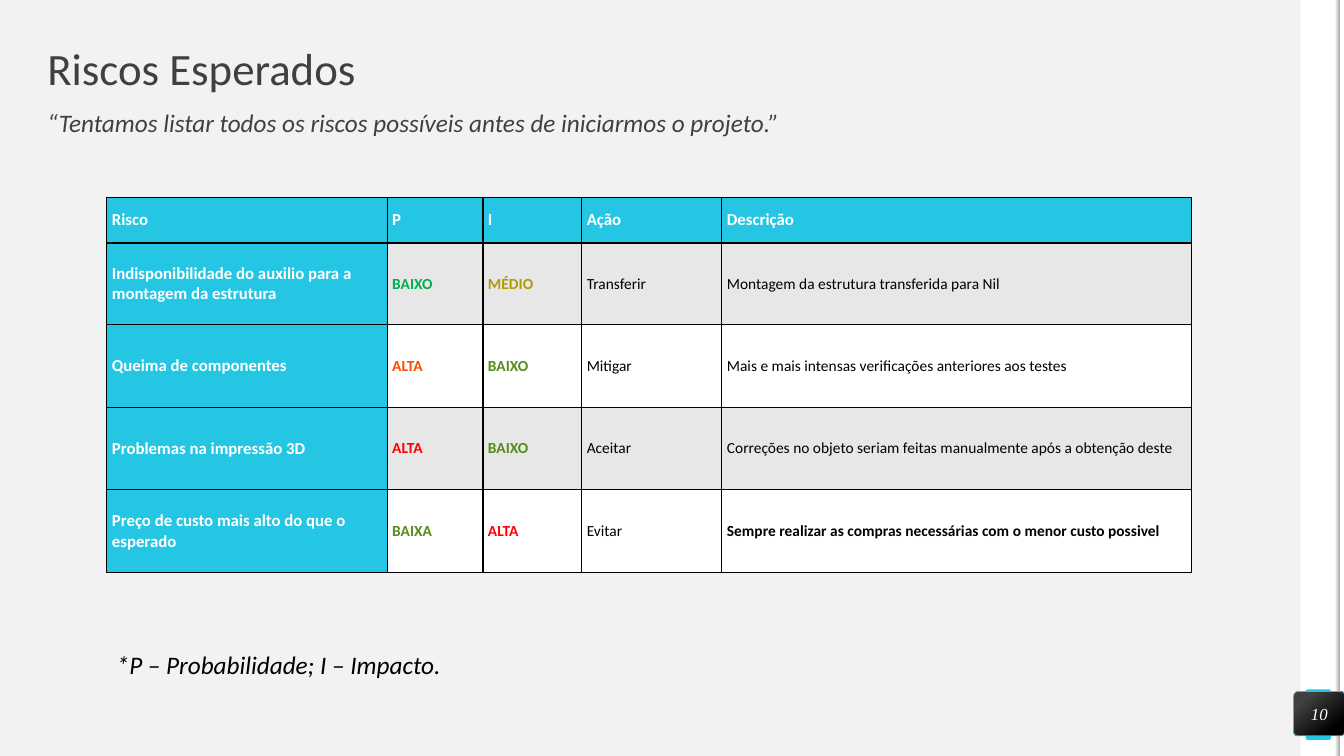
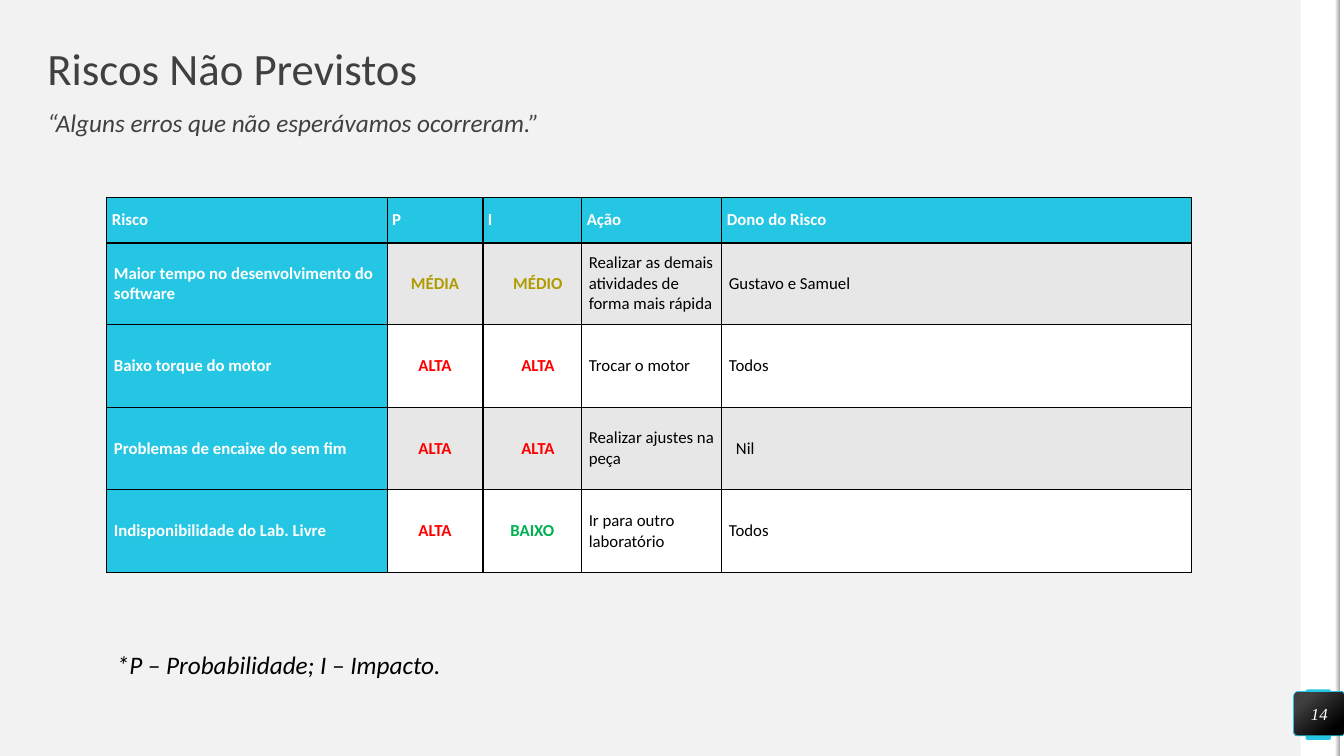
from lxml import etree
from pptx import Presentation
from pptx.dml.color import RGBColor
from pptx.enum.shapes import MSO_SHAPE
from pptx.enum.text import MSO_ANCHOR, MSO_AUTO_SIZE, PP_ALIGN
from pptx.oxml import parse_xml
from pptx.oxml.ns import nsdecls
from pptx.util import Inches, Pt

RECT = MSO_SHAPE.RECTANGLE
ROUND = MSO_SHAPE.ROUNDED_RECTANGLE
LEFT, CENTER = PP_ALIGN.LEFT, PP_ALIGN.CENTER
TOP, MIDDLE = MSO_ANCHOR.TOP, MSO_ANCHOR.MIDDLE
FIXED = MSO_AUTO_SIZE.NONE

COLORS = {
    "page": "F2F2F2", "white": "FFFFFF", "black": "000000",
    "cyan": "25C6E3", "ink": "404040", "band": "E7E7E7", "shade": "A6A6A6",
    "green": "00B050", "olive": "558C1C", "gold": "B09C00",
    "orange": "FF4A01", "red": "FF0000",
}
RGB = {name: RGBColor.from_string(code) for name, code in COLORS.items()}
WIDTHS = [2.78, 0.95, 0.98, 1.39, 4.66]
HEIGHTS = [0.45, 0.81, 0.82, 0.82, 0.82]
NOTE = "*P – Probabilidade; I – Impacto."

SLIDES = [
    {
        "title": "Riscos Esperados", "number": "10",
        "quote": "“Tentamos listar todos os riscos possíveis antes de iniciarmos o projeto.”",
        "last": "Descrição", "size": 11, "inset": 0.05, "align": LEFT,
        "indent": {}, "bold": [(4, 4)],
        "rows": [
            ["Indisponibilidade do auxilio para a montagem da estrutura", "BAIXO", "MÉDIO",
             "Transferir", "Montagem da estrutura transferida para Nil"],
            ["Queima de componentes", "ALTA", "BAIXO", "Mitigar",
             "Mais e mais intensas verificações anteriores aos testes"],
            ["Problemas na impressão 3D", "ALTA", "BAIXO", "Aceitar",
             "Correções no objeto seriam feitas manualmente após a obtenção deste"],
            ["Preço de custo mais alto do que o esperado", "BAIXA", "ALTA", "Evitar",
             "Sempre realizar as compras necessárias com o menor custo possivel"],
        ],
        "levels": [("green", "gold"), ("orange", "olive"), ("red", "olive"), ("olive", "red")],
    },
    {
        "title": "Riscos Não Previstos", "number": "14",
        "quote": "“Alguns erros que não esperávamos ocorreram.”",
        "last": "Dono do Risco", "size": 12, "inset": 0.07, "align": CENTER,
        "indent": {(1, 2): 0.11, (2, 2): 0.11, (3, 2): 0.11, (3, 4): 0.07}, "bold": [],
        "rows": [
            ["Maior tempo no desenvolvimento do software", "MÉDIA", "MÉDIO",
             "Realizar as demais atividades de forma mais rápida", "Gustavo e Samuel"],
            ["Baixo torque do motor", "ALTA", "ALTA", "Trocar o motor", "Todos"],
            ["Problemas de encaixe do sem fim", "ALTA", "ALTA", "Realizar ajustes na peça", "Nil"],
            ["Indisponibilidade do Lab. Livre", "ALTA", "BAIXO", "Ir para outro laboratório", "Todos"],
        ],
        "levels": [("gold", "gold"), ("red", "red"), ("red", "red"), ("red", "green")],
    },
]


def write(frame, text, size=18, color="ink", font="Calibri", bold=False, italic=False,
          align=LEFT, anchor=MIDDLE, inset=0, spacing=1):
    frame.word_wrap = True
    frame.auto_size = FIXED
    frame.vertical_anchor = anchor
    frame.margin_left = frame.margin_right = Inches(inset)
    frame.margin_top = frame.margin_bottom = 0
    line = frame.paragraphs[0]
    line.alignment = align
    line.line_spacing = spacing
    run = line.add_run()
    run.text = text
    run.font.name = font
    run.font.size = Pt(size)
    run.font.bold = bold
    run.font.italic = italic
    run.font.color.rgb = RGB[color]


def block(slide, kind, box, fill, angle=0, line=None):
    shape = slide.shapes.add_shape(kind, *map(Inches, box))
    shape.shadow.inherit = False
    if isinstance(fill, str):
        shape.fill.solid()
        shape.fill.fore_color.rgb = RGB[fill]
    else:
        shape.fill.gradient()
        shape.fill.gradient_angle = angle
        for stop, (place, color) in zip(shape.fill.gradient_stops, fill):
            stop.position = place
            stop.color.rgb = RGB[color]
    if line:
        shape.line.color.rgb = RGB[line]
        shape.line.width = Pt(0.5)
    else:
        shape.line.fill.background()
    return shape


deck = Presentation()
deck.slide_width, deck.slide_height = Inches(13.33), Inches(7.5)
paper = deck.slide_master.background.fill
paper.solid()
paper.fore_color.rgb = RGB["page"]
border = parse_xml(
    f'<a:ln {nsdecls("a")} w="12700"><a:solidFill>'
    f'<a:srgbClr val="{COLORS["black"]}"/></a:solidFill></a:ln>')

for data in SLIDES:
    slide = deck.slides.add_slide(deck.slide_layouts[5])
    block(slide, RECT, (12.9, 0, 0.39, 7.5), "white")
    block(slide, ROUND, (12.95, 6.84, 0.25, 0.5), "cyan").adjustments[0] = 0.07
    block(slide, RECT, (13.29, 0, 0.04, 7.5), "white")
    block(slide, RECT, (13.24, 0, 0.05, 7.5), [(0, "white"), (1, "shade")])

    title = slide.shapes.title
    title.left, title.top, title.width, title.height = map(Inches, (0.47, 0.47, 12.39, 0.47))
    write(title.text_frame, data["title"], size=32, spacing=0.9)
    quote = slide.shapes.add_textbox(*map(Inches, (0.47, 1.1, 12.4, 0.39)))
    write(quote.text_frame, data["quote"], italic=True, anchor=TOP, spacing=0.9)

    badge = block(slide, ROUND, (12.83, 6.86, 0.51, 0.44),
                  [(0.2, "ink"), (0.82, "black")], angle=310, line="cyan")
    badge.adjustments[0] = 0.1
    write(badge.text_frame, data["number"], size=12, color="white",
          font="Times New Roman", italic=True, align=CENTER)

    rows = [["Risco", "P", "I", "Ação", data["last"]]] + data["rows"]
    box = map(Inches, (1.06, 1.96, sum(WIDTHS), sum(HEIGHTS)))
    table = slide.shapes.add_table(len(rows), len(WIDTHS), *box).table
    table.first_row = table.horz_banding = False
    for col, width in zip(table.columns, WIDTHS):
        col.width = Inches(width)
    for row, height in zip(table.rows, HEIGHTS):
        row.height = Inches(height)

    for r, texts in enumerate(rows):
        for c, text in enumerate(texts):
            cell = table.cell(r, c)
            head = r == 0 or c == 0
            level = not head and c in (1, 2)
            inset = data["inset"] if r else 0.05
            color = "white" if head else data["levels"][r - 1][c - 1] if level else "black"
            write(cell.text_frame, text, size=12 if head else data["size"], color=color,
                  bold=head or level or (r, c) in data["bold"],
                  align=data["align"] if level else LEFT)
            cell.vertical_anchor = MIDDLE
            cell.margin_left = Inches(inset + data["indent"].get((r, c), 0))
            cell.margin_right = Inches(inset)
            cell.margin_top = cell.margin_bottom = 0
            props = cell._tc.get_or_add_tcPr()
            for side in ("lnL", "lnR", "lnT", "lnB"):
                edge = etree.SubElement(props, border.tag.replace("}ln", "}" + side), w="12700")
                edge.append(parse_xml(etree.tostring(border[0])))
            cell.fill.solid()
            cell.fill.fore_color.rgb = RGB["cyan" if head else "band" if r % 2 else "white"]

    note = slide.shapes.add_textbox(*map(Inches, (1.06, 6.39, 10.9, 0.4)))
    write(note.text_frame, NOTE, color="black", italic=True, inset=0.1)

deck.save("out.pptx")
